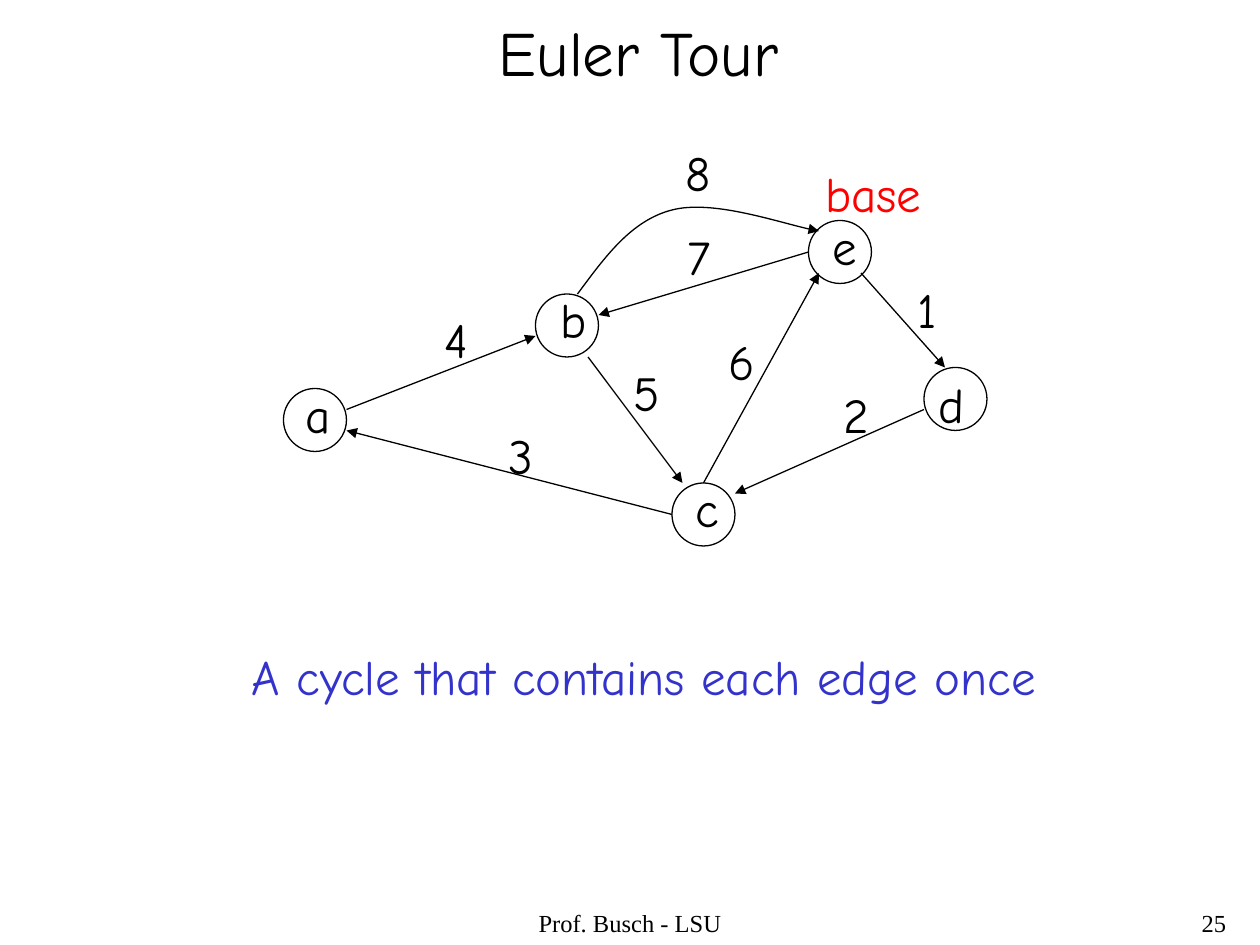
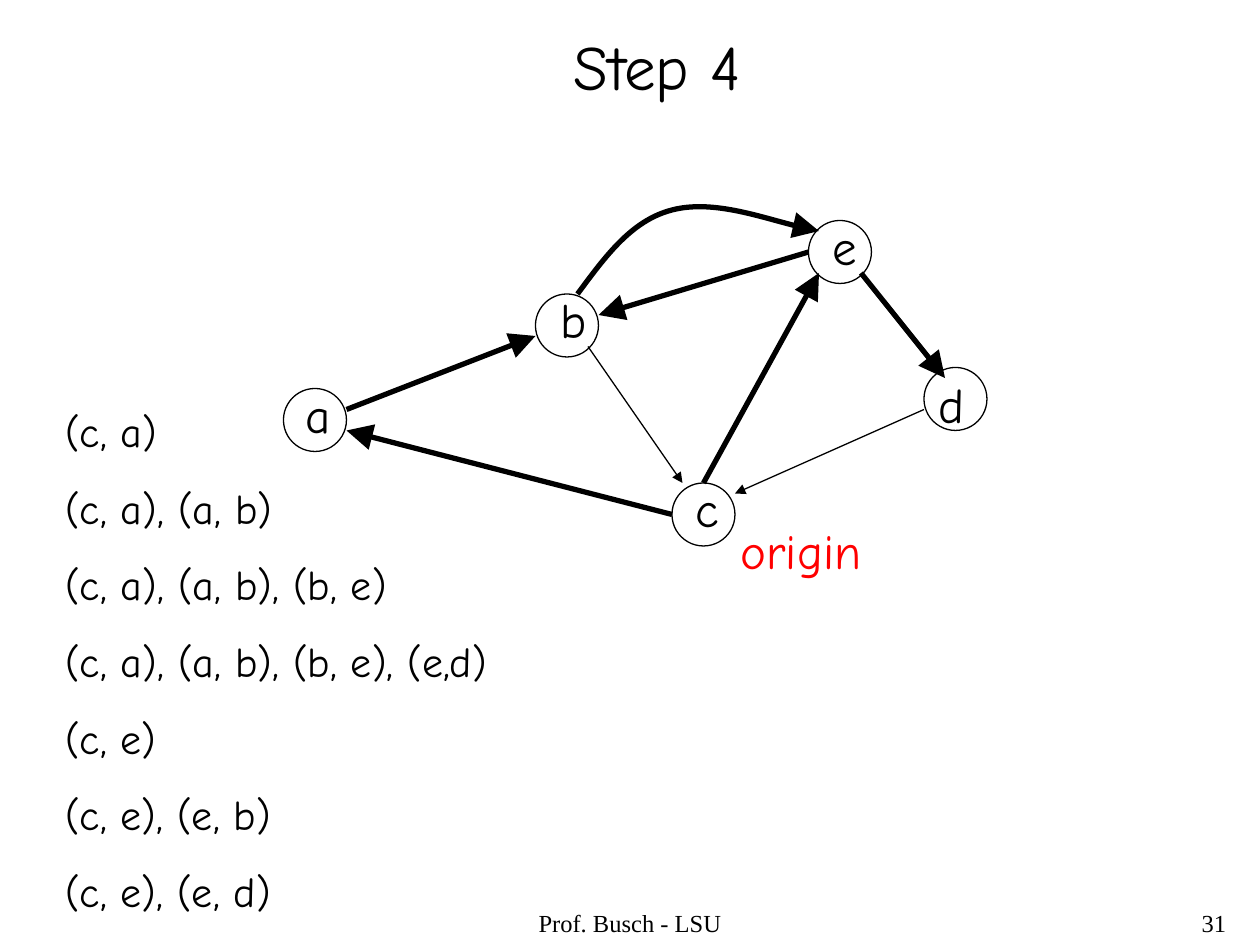
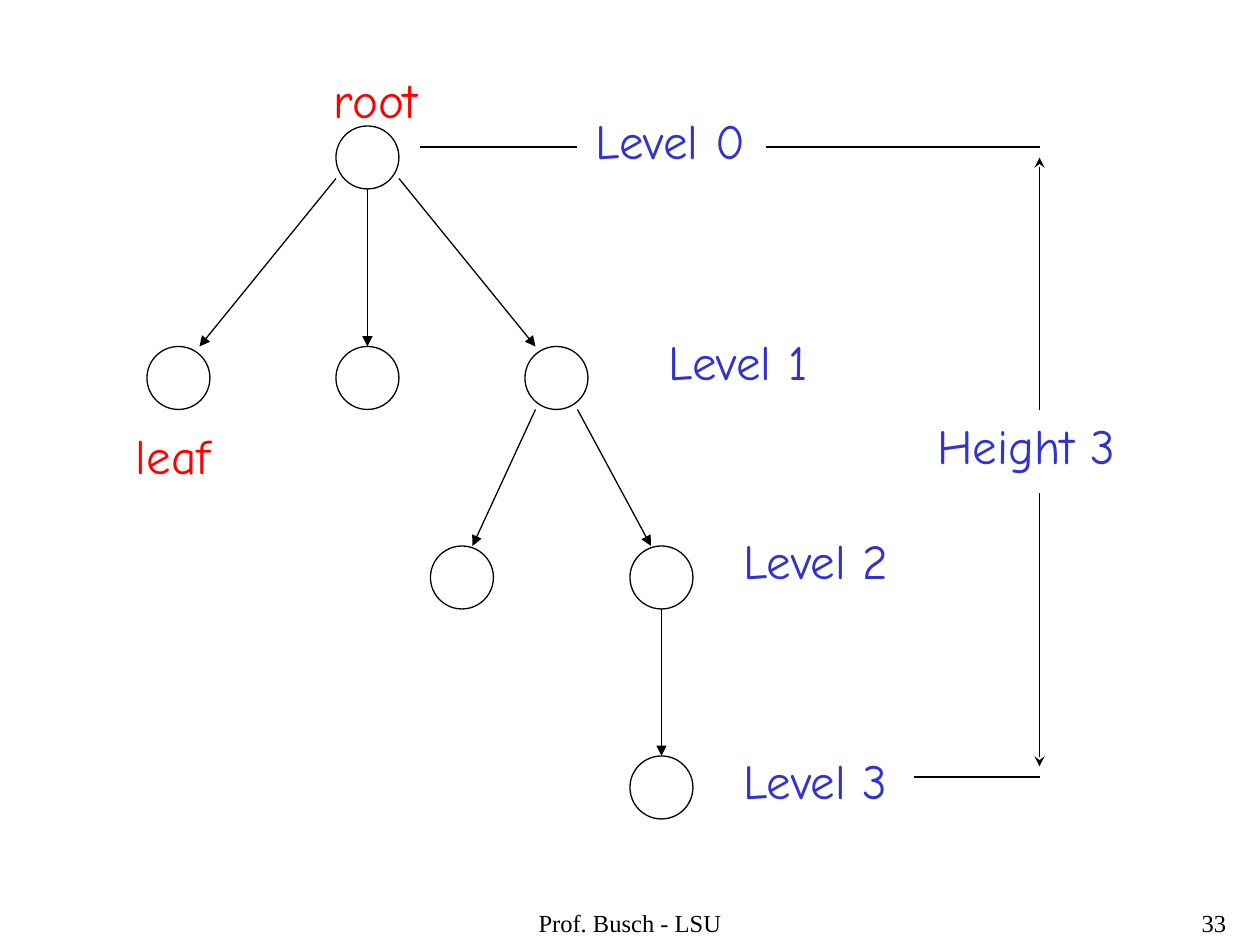
"""Build three lecture slides on Euler tours, path growing and tree levels."""
from lxml import etree
from pptx import Presentation
from pptx import util as u
from pptx.dml.color import RGBColor
from pptx.enum import shapes, text
from pptx.oxml.ns import qn

BLACK, RED, BLUE = "000000", "FF0000", "3333CC"
HAND, SERIF = "Comic Neue", "Times New Roman"
GRID = u.Inches(1) // 12
NODE = 6
SLACK = 0.03
THIN, THICK = 0.75, 3
HEADS = {THIN: "med", THICK: "lg"}
TITLE_SIZE, LABEL_SIZE, LIST_SIZE, FOOTER_SIZE = 36, 28, 24, 14
TITLE_ONLY, BLANK = 5, 6
LEFT, CENTER, RIGHT = text.PP_ALIGN.LEFT, text.PP_ALIGN.CENTER, text.PP_ALIGN.RIGHT
FOOTER = "Prof. Busch - LSU"

# Nodes, edges and curves are in grid units; labels are (text, left, top, width) in inches.
GRAPH_NODES = [(64, 46), (51, 28), (88, 35), (27, 37), (77, 21)]
NODE_LABELS = [("a", 2.33, 3, 0.4), ("b", 4.35, 2.25, 0.41), ("c", 5.42, 3.75, 0.38),
               ("d", 7.35, 2.92, 0.4), ("e", 6.51, 1.67, 0.39)]
GRAPH_EDGES = {
    "ab": ((33, 39), (51, 32)),
    "bc": ((56, 34), (65, 46)),
    "ce": ((67, 46), (78, 26)),
    "dc": ((88, 39), (70, 47)),
    "ca": ((64, 49), (33, 41)),
    "ed": ((82, 26), (90, 35)),
    "eb": ((77, 24), (57, 30)),
}
CURVE_BE = [(55, 28), (57.6, 24.5), (60.1, 21), (64, 20), (67.8, 19), (75.1, 21.5), (78, 22)]

TOUR = {
    "title": ("Euler Tour", 3.86, 0.06, 2.46),
    "number": "25",
    "moved": {},
    "used": "",
    "labels": {
        BLACK: [("1", 7.18, 2.17, 0.35), ("2", 6.6, 3, 0.4), ("3", 3.94, 3.33, 0.39),
                ("4", 3.43, 2.41, 0.39), ("5", 4.93, 2.83, 0.41), ("6", 5.68, 2.58, 0.41),
                ("7", 5.36, 1.75, 0.38), ("8", 5.34, 1.08, 0.4)],
        RED: [("base", 6.45, 1.25, 0.96)],
        BLUE: [("A cycle that contains each edge once", 1.9, 5.08, 6.44)],
    },
}
STEP = {
    "title": ("Step 4", 4.45, 0.17, 1.54),
    "number": "31",
    "moved": {"bc": ((56, 33), (65, 46)), "ed": ((82, 26), (90, 36))},
    "used": "ab ce ca ed eb be",
    "labels": {RED: [("origin", 5.78, 4.08, 1.15)]},
}
PATHS = ["(c, a)", "(c, a), (a, b)", "(c, a), (a, b), (b, e)", "(c, a), (a, b), (b, e), (e,d)",
         "(c, e)", "(c, e), (e, b)", "(c, e), (e, d)"]

TREE_NODES = [(32, 33), (14, 33), (50, 33), (32, 12), (41, 52), (60, 52), (60, 72)]
TREE_EDGES = [((32, 17), (19, 33)), ((35, 18), (35, 33)), ((38, 17), (51, 33)),
              ((51, 39), (45, 52)), ((55, 39), (62, 52)), ((63, 58), (63, 72))]
LEVEL_RULES = [((40, 14), (55, 14)), ((73, 14), (99, 14)), ((87, 74), (99, 74))]
HEIGHT_ARROWS = [((99, 39), (99, 15)), ((99, 47), (99, 73))]
TREE_LABELS = {
    RED: [("root", 2.55, 0.5, 0.87), ("leaf", 0.98, 3.33, 0.79)],
    BLUE: [("Level 0", 4.63, 0.83, 1.39), ("Level 1", 5.21, 2.58, 1.31),
           ("Level 2", 5.8, 4.16, 1.36), ("Level 3", 5.8, 5.91, 1.35),
           ("Height 3", 7.34, 3.25, 1.61)],
}


def rgb(color):
    return RGBColor.from_string(color)


def cells(*counts):
    return [u.Emu(round(count * GRID)) for count in counts]


def write(shape, words, size, color=BLACK, font=HAND, align=LEFT, wrap=False, before=0):
    frame = shape.text_frame
    frame.text = words
    frame.word_wrap = wrap
    frame.auto_size = text.MSO_AUTO_SIZE.NONE if wrap else text.MSO_AUTO_SIZE.SHAPE_TO_FIT_TEXT
    frame.vertical_anchor = text.MSO_ANCHOR.TOP
    for paragraph in frame.paragraphs:
        paragraph.alignment = align
        paragraph.space_before = u.Pt(before)
        for run in paragraph.runs:
            run.font.size = u.Pt(size)
            run.font.name = font
            run.font.color.rgb = rgb(color)


def add_text(slide, left, top, width, height, words, size, **style):
    box = slide.shapes.add_textbox(*map(u.Inches, (left, top, width + SLACK, height)))
    write(box, words, size, **style)


def add_labels(slide, labels):
    for color, group in labels.items():
        for words, left, top, width in group:
            add_text(slide, left, top, width, 0.57, words, LABEL_SIZE, color=color)


def add_nodes(slide, nodes):
    for column, row in nodes:
        node = slide.shapes.add_shape(shapes.MSO_SHAPE.OVAL, *cells(column, row, NODE, NODE))
        node.shadow.inherit = False
        node.fill.background()
        draw_line(node, THIN)


def draw_line(shape, weight, arrow=None):
    shape.line.color.rgb = rgb(BLACK)
    shape.line.width = u.Pt(weight)
    if arrow:
        head = HEADS[weight]
        etree.SubElement(shape.line._get_or_add_ln(), qn("a:tailEnd"), type=arrow, w=head, len=head)


def add_edge(slide, ends, weight=THIN, arrow="triangle"):
    start, end = ends
    edge = slide.shapes.add_connector(shapes.MSO_CONNECTOR.STRAIGHT, *cells(*start, *end))
    draw_line(edge, weight, arrow)
    etree.SubElement(edge._element.spPr, qn("a:effectLst"))


def add_curve(slide, points, weight):
    start, *rest = [cells(*point) for point in points]
    builder = slide.shapes.build_freeform(*start)
    builder.add_line_segments(rest, close=False)
    curve = builder.convert_to_shape()
    curve.shadow.inherit = False
    curve.fill.background()
    draw_line(curve, weight, "triangle")
    outline = curve._element.spPr.find(".//" + qn("a:path"))
    segments = outline.findall(qn("a:lnTo"))
    for first in range(0, len(segments), 3):
        bend = etree.SubElement(outline, qn("a:cubicBezTo"))
        for segment in segments[first:first + 3]:
            bend.append(segment[0])
            outline.remove(segment)


def add_slide(deck, number, title=None):
    slide = deck.slides.add_slide(deck.slide_layouts[TITLE_ONLY if title else BLANK])
    footer = {"font": SERIF, "wrap": True}
    add_text(slide, 3.4, 7.16, 3.17, 0.33, FOOTER, FOOTER_SIZE, align=CENTER, **footer)
    add_text(slide, 7.72, 7.16, 2.08, 0.33, number, FOOTER_SIZE, align=RIGHT, **footer)
    if title:
        words, left, top, width = title
        heading = slide.shapes.title
        heading.left, heading.top, heading.width, heading.height = map(
            u.Inches, (left, top, width + SLACK, 0.7))
        write(heading, words, TITLE_SIZE)
    return slide


def add_graph_slide(deck, content):
    slide = add_slide(deck, content["number"], content["title"])
    used = content["used"].split()
    add_nodes(slide, GRAPH_NODES)
    for name, ends in (GRAPH_EDGES | content["moved"]).items():
        add_edge(slide, ends, THICK if name in used else THIN)
    add_curve(slide, CURVE_BE, THICK if "be" in used else THIN)
    add_labels(slide, {BLACK: NODE_LABELS})
    add_labels(slide, content["labels"])
    return slide


def add_tree_slide(deck):
    slide = add_slide(deck, "33")
    add_nodes(slide, TREE_NODES)
    for edges, arrow in ((TREE_EDGES, "triangle"), (LEVEL_RULES, None), (HEIGHT_ARROWS, "stealth")):
        for ends in edges:
            add_edge(slide, ends, arrow=arrow)
    add_labels(slide, TREE_LABELS)


def main():
    deck = Presentation()
    deck.slide_width, deck.slide_height = u.Inches(10), u.Inches(7.5)
    add_graph_slide(deck, TOUR)
    step = add_graph_slide(deck, STEP)
    add_text(step, 0.42, 3.17, 3.54, 4.15, "\n".join(PATHS), LIST_SIZE, before=15)
    add_tree_slide(deck)
    deck.save("out.pptx")


if __name__ == "__main__":
    main()
